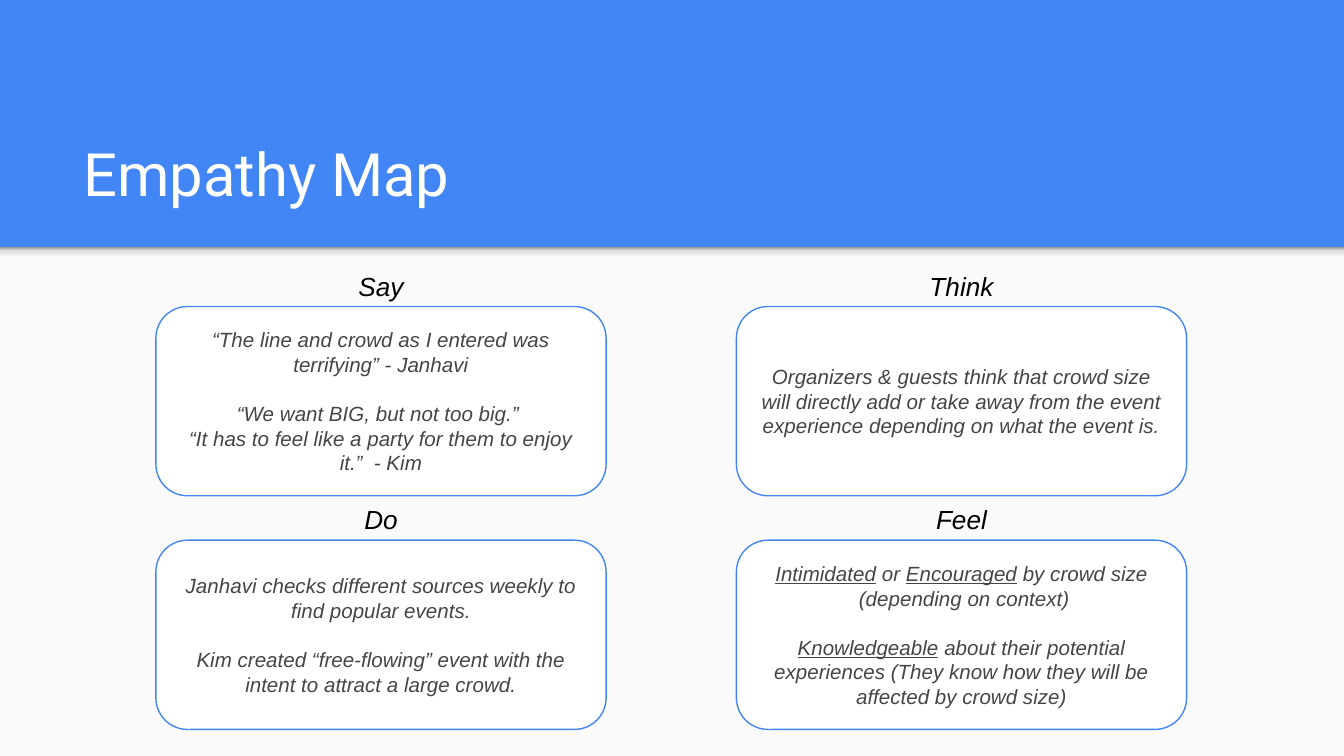
from copy import deepcopy

from pptx import Presentation
from pptx.dml.color import RGBColor
from pptx.enum.shapes import MSO_SHAPE
from pptx.enum.text import MSO_ANCHOR, PP_ALIGN
from pptx.oxml.ns import qn
from pptx.util import Pt

COLORS = {
    "blue": "4285F4",
    "panel": "FAFAFA",
    "white": "FFFFFF",
    "body": "454545",
    "black": "000000",
}
SHADOW_STOPS = [(0, "F9F9F9"), (0.36, "F9F9F9"), (0.8, "DEDEDE"), (1, "999999")]
FORMATS = {
    "title": {"name": "Roboto", "size": Pt(32), "italic": False},
    "label": {"name": "Arial", "size": Pt(14), "italic": True},
    "body": {"name": "Arial", "size": Pt(11), "italic": True},
}
GAP = 13

# Each quadrant: column, row, heading, paragraphs as (space before, text).
# Underscores enclose underlined words.
QUADRANTS = [
    (0, 0, "Say", [
        (0, "“The line and crowd as I entered was terrifying” - Janhavi"),
        (GAP, "“We want BIG, but not too big.” "),
        (0, "“It has to feel like a party for them to enjoy it.”  - Kim"),
    ]),
    (0, 1, "Do", [
        (0, "Janhavi checks different sources weekly to find popular events."),
        (GAP, "Kim created “free-flowing” event with the intent to attract a large crowd."),
    ]),
    (1, 0, "Think", [
        (0, "Organizers & guests think that crowd size will directly add or take away "
            "from the event experience depending on what the event is."),
    ]),
    (1, 1, "Feel", [
        (0, "_Intimidated_ or _Encouraged_ by crowd size"),
        (0, " (depending on context)"),
        (GAP, "_Knowledgeable_ about their potential experiences "
              "(They know how they will be affected by crowd size)"),
    ]),
]
LEFT, COLUMN_STEP = 83.5, 311
TOP, ROW_STEP = 164.2, 125.2
CARD_WIDTH, CARD_HEIGHT = 241.2, 101.4
LABEL_WIDTH, LABEL_HEIGHT, LABEL_RISE = 61.2, 29.5, 26.7


def set_up_frame(frame, anchor):
    frame.word_wrap = True
    frame.vertical_anchor = anchor
    for side in ("left", "top", "right", "bottom"):
        setattr(frame, f"margin_{side}", Pt(7.2))


def write(para, text, style, color, align=PP_ALIGN.CENTER):
    """Fill a paragraph, underlining the words between underscores."""
    para.alignment = align
    for index, part in enumerate(text.split("_")):
        if not part:
            continue
        span = para.add_run()
        span.text = part
        for key, value in FORMATS[style].items():
            setattr(span.font, key, value)
        span.font.color.rgb = RGBColor.from_string(COLORS[color])
        if index % 2:
            span.font.underline = True


deck = Presentation()
deck.slide_width, deck.slide_height = Pt(720), Pt(405)
slide = deck.slides.add_slide(deck.slide_layouts[5])
slide.background.fill.solid()
slide.background.fill.fore_color.rgb = RGBColor.from_string(COLORS["blue"])

# Light panel with a shadow along its upper edge
panel = slide.shapes.add_shape(MSO_SHAPE.RECTANGLE, 0, Pt(132.5), Pt(720), Pt(272.5))
panel.fill.solid()
panel.fill.fore_color.rgb = RGBColor.from_string(COLORS["panel"])
edge = slide.shapes.add_shape(MSO_SHAPE.RECTANGLE, 0, Pt(132.5), Pt(720), Pt(8.6))
edge.fill.gradient()
edge.fill.gradient_angle = 90
stop_list = edge.element.spPr.find(qn("a:gradFill")).find(qn("a:gsLst"))
while len(stop_list) < len(SHADOW_STOPS):
    stop_list.append(deepcopy(stop_list[0]))
for stop, (position, color) in zip(edge.fill.gradient_stops, SHADOW_STOPS):
    stop.position = position
    stop.color.rgb = RGBColor.from_string(color)
for shape in (panel, edge):
    shape.line.fill.background()
    shape.shadow.inherit = False

title = slide.shapes.title
title.left, title.top, title.width, title.height = Pt(37.4), Pt(58.3), Pt(647.3), Pt(60.5)
set_up_frame(title.text_frame, MSO_ANCHOR.BOTTOM)
write(title.text_frame.paragraphs[0], "Empathy Map", "title", "white", PP_ALIGN.LEFT)

for column, row, heading, lines in QUADRANTS:
    left = LEFT + column * COLUMN_STEP
    top = TOP + row * ROW_STEP

    card = slide.shapes.add_shape(MSO_SHAPE.ROUNDED_RECTANGLE, Pt(left), Pt(top),
                                  Pt(CARD_WIDTH), Pt(CARD_HEIGHT))
    card.shadow.inherit = False
    card.fill.solid()
    card.fill.fore_color.rgb = RGBColor.from_string(COLORS["white"])
    card.line.color.rgb = RGBColor.from_string(COLORS["blue"])
    card.line.width = Pt(0.75)
    set_up_frame(card.text_frame, MSO_ANCHOR.MIDDLE)
    for index, (space, text) in enumerate(lines):
        para = card.text_frame.add_paragraph() if index else card.text_frame.paragraphs[0]
        if space:
            para.space_before = Pt(space)
        write(para, text, "body", "body")

    label = slide.shapes.add_textbox(Pt(left + (CARD_WIDTH - LABEL_WIDTH) / 2),
                                     Pt(top - LABEL_RISE), Pt(LABEL_WIDTH), Pt(LABEL_HEIGHT))
    set_up_frame(label.text_frame, MSO_ANCHOR.TOP)
    write(label.text_frame.paragraphs[0], heading, "label", "black")

deck.save("out.pptx")
